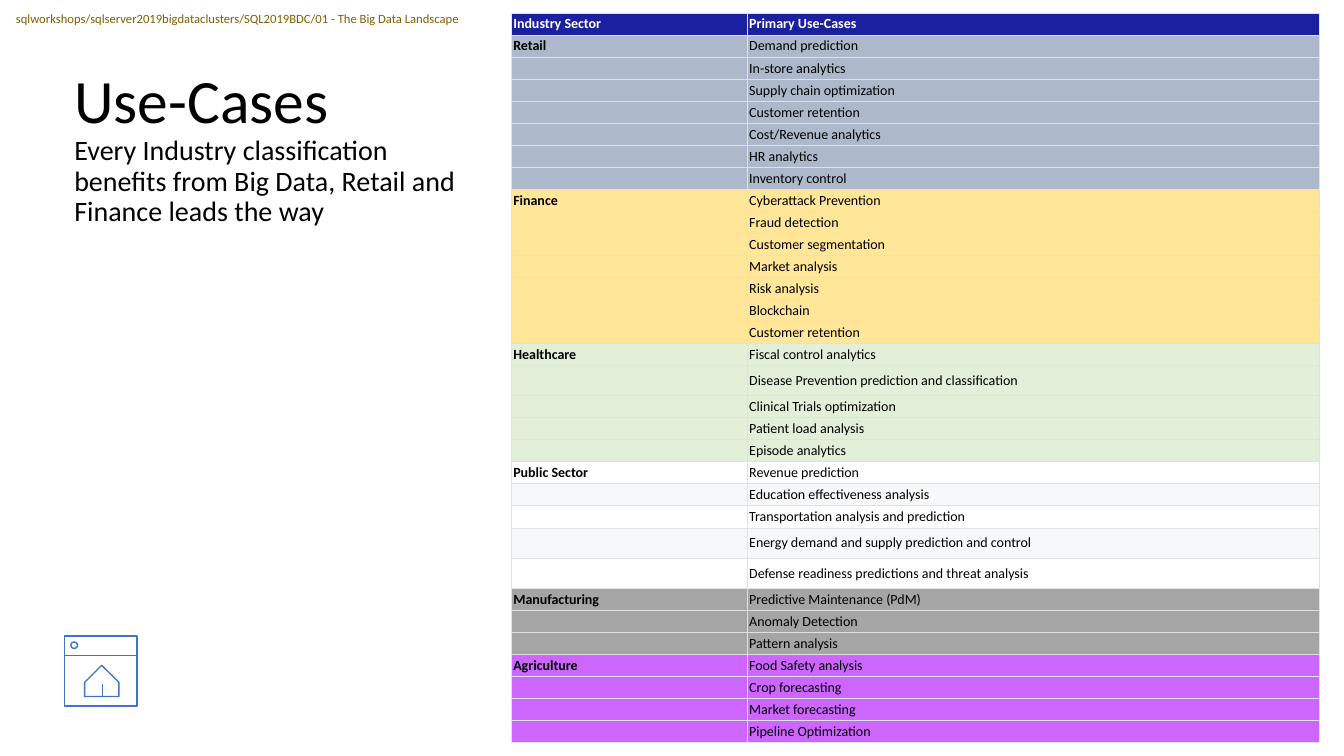
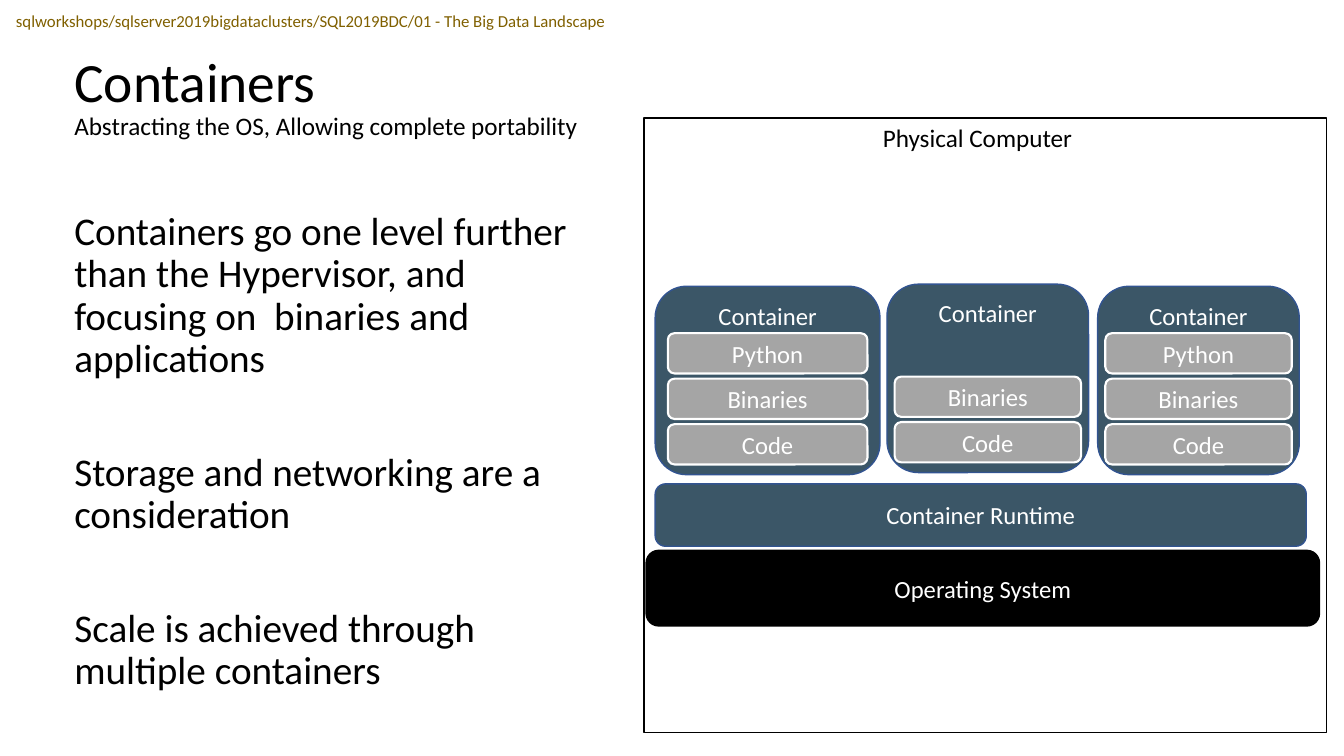
from dataclasses import dataclass

from lxml.etree import SubElement
from pptx import Presentation
from pptx.dml.color import RGBColor
from pptx.enum.shapes import MSO_CONNECTOR, MSO_SHAPE
from pptx.enum.text import MSO_ANCHOR, PP_ALIGN
from pptx.oxml.ns import qn
from pptx.util import Pt


@dataclass(frozen=True)
class Theme:
    font: str = "Calibri"
    ink: str = "000000"
    paper: str = "FFFFFF"
    course: str = "806000"
    header: str = "1B20A1"
    grid: str = "DFE2E5"
    icon: str = "4472C4"
    container: str = "3B5667"
    container_edge: str = "325491"
    layer: str = "A5A5A5"
    body_size: float = 28
    label_size: float = 18
    block_size: float = 17.6
    table_size: float = 10
    line_spacing: float = 0.9


THEME = Theme()
COURSE = "sqlworkshops/sqlserver2019bigdataclusters/SQL2019BDC/01 - The Big Data Landscape"
LEFT = 46

SECTORS = [
    ("Retail", ["ADB9CA"], [
        "Demand prediction", "In-store analytics", "Supply chain optimization",
        "Customer retention", "Cost/Revenue analytics", "HR analytics", "Inventory control"]),
    ("Finance", ["FFE699"], [
        "Cyberattack Prevention", "Fraud detection", "Customer segmentation",
        "Market analysis", "Risk analysis", "Blockchain", "Customer retention"]),
    ("Healthcare", ["E2F0D9"], [
        "Fiscal control analytics", "Disease Prevention prediction and classification",
        "Clinical Trials optimization", "Patient load analysis", "Episode analytics"]),
    ("Public Sector", ["FFFFFF", "F6F8FA"], [
        "Revenue prediction", "Education effectiveness analysis",
        "Transportation analysis and prediction",
        "Energy demand and supply prediction and control",
        "Defense readiness predictions and threat analysis"]),
    ("Manufacturing", ["A5A5A5"], [
        "Predictive Maintenance (PdM)", "Anomaly Detection", "Pattern analysis"]),
    ("Agriculture", ["CC66FF"], [
        "Food Safety analysis", "Crop forecasting", "Market forecasting",
        "Pipeline Optimization"]),
]

CONTAINERS = [
    (468, 204.5, 160.6, 9, ["Python", "Binaries", "Code"]),
    (633.6, 203, 144, 5.4, ["Binaries", "Code"]),
    (784.1, 204.5, 144, 5.4, ["Python", "Binaries", "Code"]),
]

BODY = [
    "Containers go one level further than the Hypervisor, and focusing on  binaries and applications",
    "Storage and networking are a consideration",
    "Scale is achieved through multiple containers",
]


def rgb(color):
    return RGBColor.from_string(color)


def style_font(font, size, color, bold=None):
    font.name = THEME.font
    font.size = Pt(size) if size else None
    font.color.rgb = rgb(color)
    font.bold = bold


def paint(shape, fill, edge, weight=1):
    shape.shadow.inherit = False
    shape.fill.solid()
    shape.fill.fore_color.rgb = rgb(fill)
    shape.line.color.rgb = rgb(edge)
    shape.line.width = Pt(weight)


def add_text(shapes, box, paragraphs, size, color=THEME.ink, wrap=True,
             line_spacing=None, gap=0):
    frame = shapes.add_textbox(*map(Pt, box)).text_frame
    frame.word_wrap = wrap
    for index, text in enumerate(paragraphs):
        paragraph = frame.add_paragraph() if index else frame.paragraphs[0]
        paragraph.text = text
        paragraph.line_spacing = line_spacing
        if index and gap:
            paragraph.space_before = Pt(gap)
        style_font(paragraph.font, size, color)


def add_title(slide, box, title, title_size, subtitle, subtitle_size):
    frame = slide.shapes.add_textbox(*map(Pt, box)).text_frame
    frame.word_wrap = True
    frame.vertical_anchor = MSO_ANCHOR.MIDDLE
    paragraph = frame.paragraphs[0]
    paragraph.line_spacing = THEME.line_spacing
    style_font(paragraph.font, None, THEME.ink)
    for text, size in ((title, title_size), (subtitle, subtitle_size)):
        if paragraph.runs:
            paragraph.add_line_break()
        run = paragraph.add_run()
        run.text = text
        run.font.size = Pt(size)


def add_course_line(slide, size):
    add_text(slide.shapes, (4.3, 4.3, 515.5, 2 * size), [COURSE], size, THEME.course)


def add_block(shapes, box, text, fill, edge, weight=1, anchor=MSO_ANCHOR.MIDDLE):
    block = shapes.add_shape(MSO_SHAPE.ROUNDED_RECTANGLE, *map(Pt, box))
    paint(block, fill, edge, weight)
    frame = block.text_frame
    frame.word_wrap = True
    frame.vertical_anchor = anchor
    paragraph = frame.paragraphs[0]
    paragraph.text = text
    paragraph.alignment = PP_ALIGN.CENTER
    style_font(paragraph.font, THEME.block_size, THEME.paper)


def add_icon_line(shapes, *ends):
    line = shapes.add_connector(MSO_CONNECTOR.STRAIGHT, *map(Pt, ends))
    line.line.color.rgb = rgb(THEME.icon)
    line.line.width = Pt(1)
    SubElement(line._element.spPr, qn("a:effectLst"))


def add_home_icon(slide):
    shapes = slide.shapes.add_group_shape().shapes
    window = shapes.add_shape(MSO_SHAPE.RECTANGLE, *map(Pt, (46.3, 454.3, 51.5, 50)))
    paint(window, THEME.paper, THEME.icon)
    add_icon_line(shapes, 97.8, 468, 46.3, 468)
    outline = shapes.build_freeform(Pt(60.5), Pt(497.5))
    roof_and_walls = [(60.5, 487.4), (72.7, 475.2), (85, 487.4), (85, 497.5)]
    outline.add_line_segments([(Pt(x), Pt(y)) for x, y in roof_and_walls], close=True)
    paint(outline.convert_to_shape(), THEME.paper, THEME.icon)
    add_icon_line(shapes, 73.4, 488.9, 73.4, 497.5)
    button = shapes.add_shape(MSO_SHAPE.OVAL, *map(Pt, (50.6, 458.6, 4.8, 4.6)))
    paint(button, THEME.paper, THEME.icon)


def add_cell_borders(cell):
    properties = cell._tc.get_or_add_tcPr()
    for position, side in enumerate(("lnL", "lnR", "lnT", "lnB")):
        border = properties.makeelement(qn(f"a:{side}"), {"w": str(Pt(0.75))})
        fill = SubElement(border, qn("a:solidFill"))
        SubElement(fill, qn("a:srgbClr"), val=THEME.grid)
        properties.insert(position, border)


def fill_cell(cell, text, fill, color, bold):
    cell.fill.solid()
    cell.fill.fore_color.rgb = rgb(fill)
    add_cell_borders(cell)
    cell.margin_left = cell.margin_right = Pt(1.5)
    cell.margin_top = cell.margin_bottom = Pt(0.75)
    cell.vertical_anchor = MSO_ANCHOR.MIDDLE
    paragraph = cell.text_frame.paragraphs[0]
    style_font(paragraph.font, THEME.table_size, color, bold)
    if text:
        paragraph.text = text
    else:
        SubElement(paragraph._p, qn("a:endParaRPr"), sz=str(int(THEME.table_size * 100)))


def add_use_case_table(slide):
    rows = [("Industry Sector", "Primary Use-Cases", THEME.header, THEME.paper, True)]
    for sector, fills, use_cases in SECTORS:
        for index, use_case in enumerate(use_cases):
            rows.append(("" if index else sector, use_case,
                         fills[index % len(fills)], THEME.ink, False))
    heights = [21.6 if len(row[1]) > 40 else 15.75 for row in rows]
    box = (365.2, 9.4, 577.2, sum(heights))
    table = slide.shapes.add_table(len(rows), 2, *map(Pt, box)).table
    table.horz_banding = False
    for column, width in zip(table.columns, (168.5, 408.7)):
        column.width = Pt(width)
    for index, (sector, use_case, fill, color, bold) in enumerate(rows):
        table.rows[index].height = Pt(heights[index])
        fill_cell(table.cell(index, 0), sector, fill, color, True)
        fill_cell(table.cell(index, 1), use_case, fill, color, bold)


def add_container(shapes, left, top, width, inset, layers):
    add_block(shapes, (left, top, width, 134.6), "Container",
              THEME.container, THEME.container_edge, anchor=MSO_ANCHOR.TOP)
    for slot, layer in enumerate(layers, start=3 - len(layers)):
        box = (left + inset, top + 33.5 + 32.5 * slot, width - 2 * inset, 28.8)
        add_block(shapes, box, layer, THEME.layer, THEME.paper, 1.5)


def add_physical_computer(slide):
    shapes = slide.shapes.add_group_shape().shapes
    computer = shapes.add_shape(MSO_SHAPE.RECTANGLE, *map(Pt, (460, 84.2, 487.4, 439.2)))
    paint(computer, THEME.paper, THEME.ink)
    add_text(shapes, (623.5, 83.5, 151.2, 28.8), ["Physical Computer"],
             THEME.label_size, wrap=False)
    add_block(slide.shapes, (461.5, 393.1, 481, 54), "Operating System",
              THEME.ink, THEME.ink)
    add_block(slide.shapes, (468, 345.6, 465.1, 44.6), "Container Runtime",
              THEME.container, THEME.container_edge)
    for container in CONTAINERS:
        add_container(slide.shapes, *container)


def build_use_cases(slide):
    add_title(slide, (LEFT, 36, 306.7, 140.4), "Use-Cases", 44,
              "Every Industry classification benefits from Big Data, "
              "Retail and Finance leads the way", 20)
    add_use_case_table(slide)
    add_home_icon(slide)
    add_course_line(slide, 9)


def build_containers(slide):
    add_title(slide, (LEFT, 36, 867.6, 67.7), "Containers", 39.6,
              "Abstracting the OS, Allowing complete portability", 18)
    add_text(slide.shapes, (LEFT, 147.6, 391, 360), BODY, THEME.body_size,
             line_spacing=THEME.line_spacing, gap=51)
    add_physical_computer(slide)
    add_course_line(slide, 12)


def main():
    deck = Presentation()
    deck.slide_width, deck.slide_height = Pt(960), Pt(540)
    for build in (build_use_cases, build_containers):
        build(deck.slides.add_slide(deck.slide_layouts[6]))
    deck.save("out.pptx")


if __name__ == "__main__":
    main()
